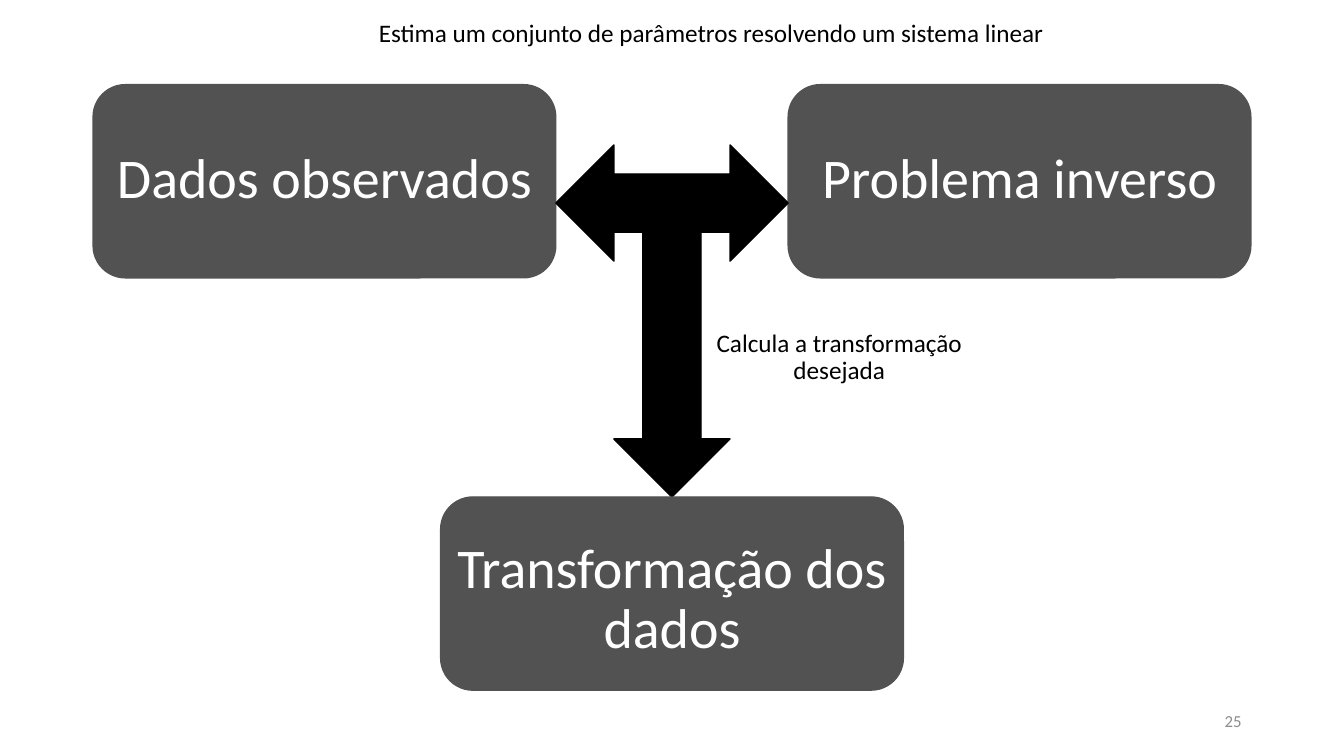
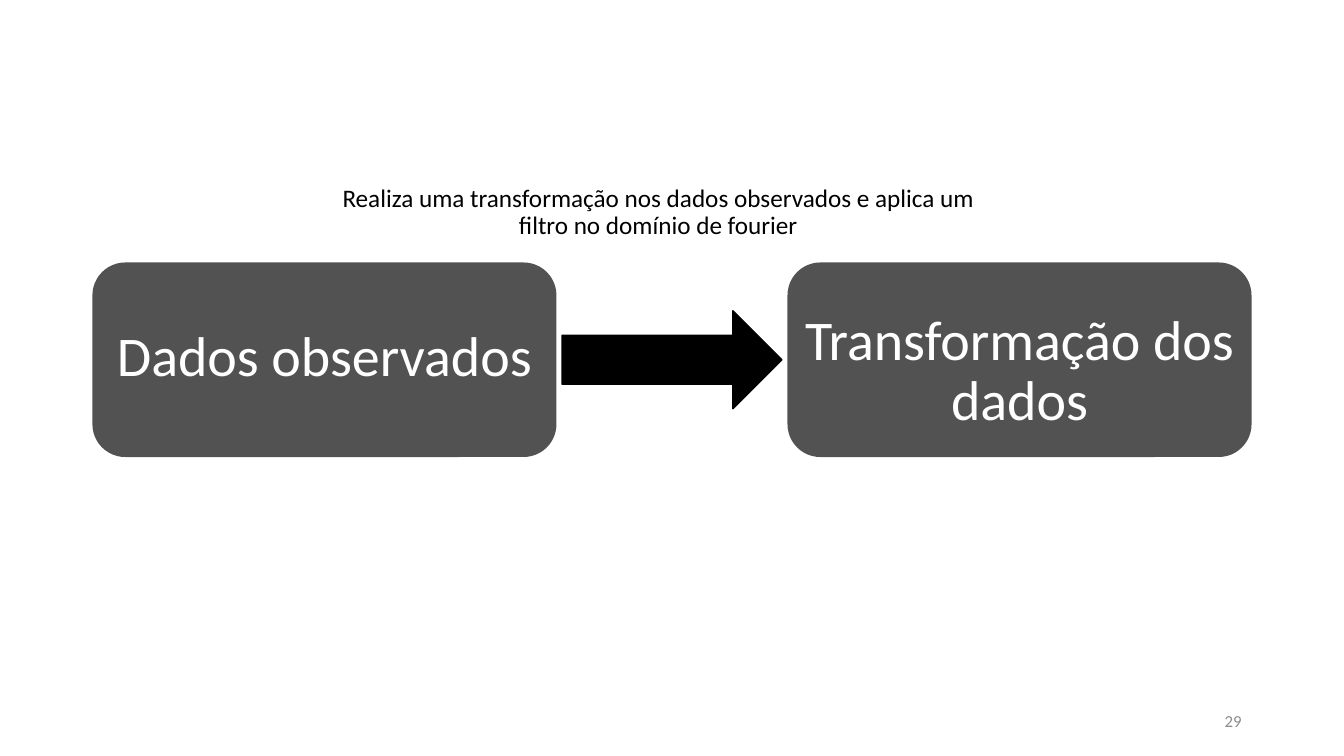
from dataclasses import dataclass

from pptx import Presentation
from pptx.dml.color import RGBColor
from pptx.enum.shapes import MSO_SHAPE as Preset
from pptx.enum.text import MSO_ANCHOR as Anchor, PP_ALIGN as Align
from pptx.util import Pt


@dataclass(frozen=True)
class Theme:
    font: str = "Calibri"
    stage_fill: RGBColor = RGBColor(0x52, 0x52, 0x52)
    stage_text: RGBColor = RGBColor(0xFF, 0xFF, 0xFF)
    ink: RGBColor = RGBColor(0x00, 0x00, 0x00)
    muted: RGBColor = RGBColor(0x8C, 0x8C, 0x8C)
    stage_size: int = 40
    caption_size: int = 18
    number_size: int = 12
    line_spacing: float = 0.9


THEME = Theme()
SLIDE_WIDTH, SLIDE_HEIGHT = 960, 540
STAGE_WIDTH, STAGE_HEIGHT = 330.5, 138
LEFT_STAGE, RIGHT_STAGE = 66.5, 563
CENTER_STAGE = (LEFT_STAGE + RIGHT_STAGE) / 2
STAGE_GAP = RIGHT_STAGE - LEFT_STAGE - STAGE_WIDTH
ONE_LINE_TOP, TWO_LINE_TOP = 40, 26


def box(left, top, width, height):
    return Pt(left), Pt(top), Pt(width), Pt(height)


def write(frame, wording, size, color, align=Align.CENTER, spacing=None):
    frame.word_wrap = True
    line = frame.paragraphs[0]
    line.text = wording
    line.alignment = align
    line.line_spacing = spacing
    line.font.name = THEME.font
    line.font.size = Pt(size)
    line.font.color.rgb = color


def add_solid(slide, preset, bounds, color):
    solid = slide.shapes.add_shape(preset, *box(*bounds))
    solid.shadow.inherit = False
    solid.fill.solid()
    solid.fill.fore_color.rgb = color
    solid.line.color.rgb = color
    solid.line.width = Pt(1)
    return solid


def add_stage(slide, wording, left, top, text_top=ONE_LINE_TOP):
    bounds = (left, top, STAGE_WIDTH, STAGE_HEIGHT)
    stage = add_solid(slide, Preset.ROUNDED_RECTANGLE, bounds, THEME.stage_fill)
    frame = stage.text_frame
    frame.vertical_anchor = Anchor.TOP
    frame.margin_left = frame.margin_right = frame.margin_bottom = 0
    frame.margin_top = Pt(text_top)
    write(frame, wording, THEME.stage_size, THEME.stage_text,
          spacing=THEME.line_spacing)


def add_caption(slide, wording, bounds):
    caption = slide.shapes.add_textbox(*box(*bounds))
    write(caption.text_frame, wording, THEME.caption_size, THEME.ink,
          spacing=THEME.line_spacing)


def add_numbered_slide(deck, number):
    slide = deck.slides.add_slide(deck.slide_layouts[6])
    footer = slide.shapes.add_textbox(*box(678, 500.5, 216, 28.5))
    footer.text_frame.vertical_anchor = Anchor.MIDDLE
    write(footer.text_frame, str(number), THEME.number_size, THEME.muted,
          Align.RIGHT)
    return slide


def build_inverse_problem(deck):
    slide = add_numbered_slide(deck, 25)
    top, bottom = 60.5, 355
    add_stage(slide, "Dados observados", LEFT_STAGE, top)
    add_stage(slide, "Problema inverso", RIGHT_STAGE, top)
    junction_top = 103.5
    junction = add_solid(
        slide, Preset.LEFT_RIGHT_UP_ARROW,
        (LEFT_STAGE + STAGE_WIDTH, junction_top, STAGE_GAP, bottom - junction_top),
        THEME.ink)
    junction.rotation = 180
    add_stage(slide, "Transformação dos dados", CENTER_STAGE, bottom, TWO_LINE_TOP - 2)
    add_caption(slide, "Estima um conjunto de parâmetros resolvendo um sistema linear",
                (201, 11, 614, 50))
    add_caption(slide, "Calcula a transformação desejada", (480, 232.5, 239, 29))


def build_fourier_filter(deck):
    slide = add_numbered_slide(deck, 29)
    top, arrow_height, clearance = 188, 70, 4.5
    add_stage(slide, "Dados observados", LEFT_STAGE, top)
    add_stage(slide, "Transformação dos dados", RIGHT_STAGE, top, TWO_LINE_TOP + 2)
    add_caption(slide, "Realiza uma transformação nos dados observados e aplica um "
                "filtro no domínio de fourier", (232, 129, 476.5, 50))
    add_solid(
        slide, Preset.RIGHT_ARROW,
        (LEFT_STAGE + STAGE_WIDTH + clearance, top + (STAGE_HEIGHT - arrow_height) / 2,
         STAGE_GAP - 2 * clearance, arrow_height),
        THEME.ink)


def main():
    deck = Presentation()
    deck.slide_width, deck.slide_height = Pt(SLIDE_WIDTH), Pt(SLIDE_HEIGHT)
    build_inverse_problem(deck)
    build_fourier_filter(deck)
    deck.save("out.pptx")


if __name__ == "__main__":
    main()
